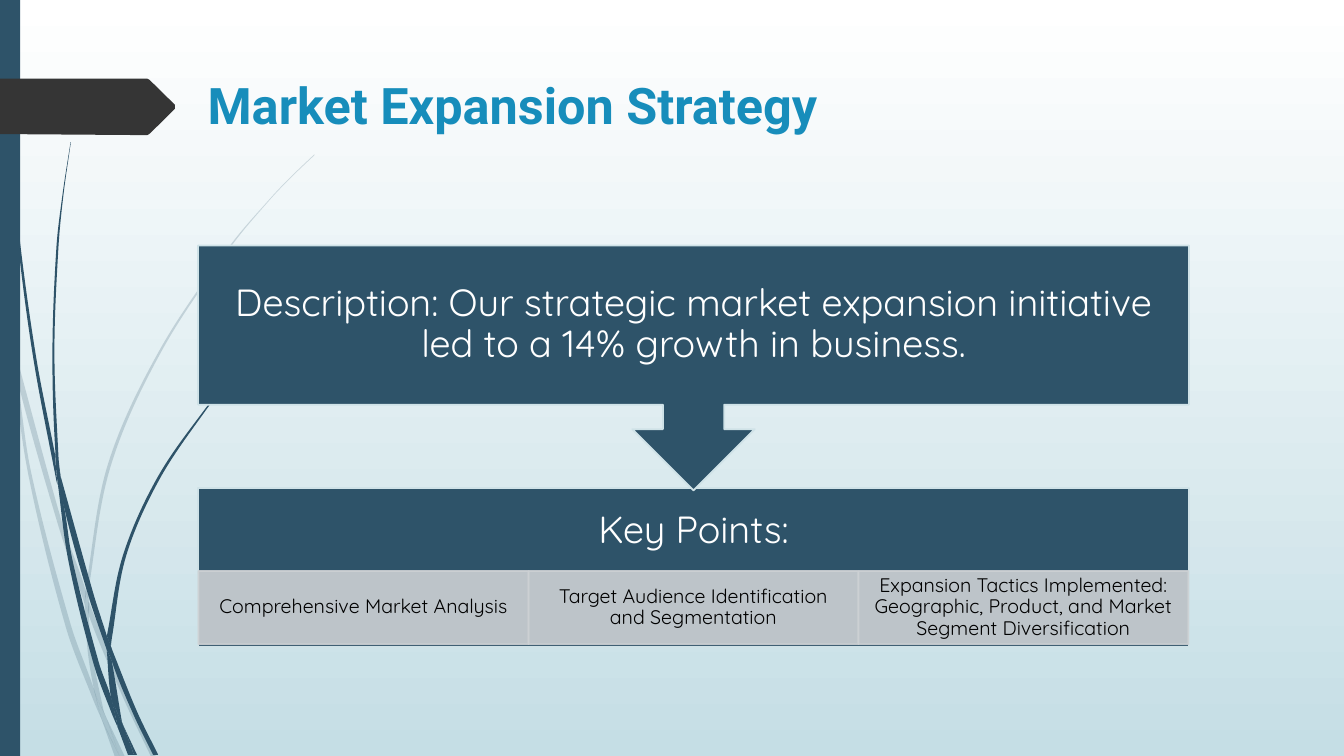
import dataclasses
import itertools
import math
import typing

import lxml.etree
import pptx
import pptx.dml.color
import pptx.enum.shapes
import pptx.enum.text
import pptx.oxml.ns
import pptx.util

COLUMNS, ROWS = 133.33, 75
CELL = pptx.util.Inches(7.5) / ROWS
NAVY, PALE, GREY = "2E5369", "CFE2E7", "CDD1D4"
SHAPES = pptx.enum.shapes.MSO_SHAPE
ANCHOR = pptx.enum.text.MSO_ANCHOR
ALIGN = pptx.enum.text.PP_ALIGN
Point = tuple[float, float]


class Area(typing.NamedTuple):
    column: float
    row: float
    columns: float
    rows: float


@dataclasses.dataclass
class Block:
    area: Area
    fill: str
    kind: SHAPES = SHAPES.RECTANGLE
    line: str | None = None
    opacity: int = 100
    rotation: int = 0


@dataclasses.dataclass
class Label:
    area: Area
    text: str
    size: float
    color: str
    inset: tuple[float, float]


FAINT_STRANDS = [
    [(1.1, 35), (0.9, 32.2), (0, 28.2), (0, 29.9), (1, 34.4)],
    [(5.8, 52.2), (8.4, 59.9), (8.5, 58.6), (6.2, 52), (1.4, 34.5), (1.7, 37.6)],
    [(9.2, 60.7), (8.8, 59.6), (8.8, 61), (12.3, 69.4), (15, 75.1), (15.5, 75.1), (12.7, 69.2)],
    [(11.9, 75.1), (12.4, 75.1), (10.5, 71.1)],
    [(9.3, 68.3), (7, 61.9), (3.1, 46.9), (1.7, 37.6), (1.1, 35), (2.8, 47), (6.5, 62.1),
     (9.2, 69.3), (10.1, 71.4), (9.9, 70.7)],
    [(8.4, 59.9), (8.7, 64.6), (9.3, 68.3), (9.6, 69.2), (10.5, 71.1), (10.3, 70.6),
     (9.1, 64.6), (8.8, 61), (8.8, 60.8)],
    [(8.8, 58.4), (11, 46.2), (16, 34.9), (22.9, 24.5), (26.8, 19.8), (29, 17.5), (31.2, 15.4),
     (31.2, 15.3), (28.9, 17.5), (26.8, 19.7), (22.8, 24.4), (15.8, 34.8), (10.7, 46.1),
     (8.5, 58.4), (8.5, 58.6), (8.8, 59.6)],
    [(10.1, 71.4), (11.4, 75.1), (11.9, 75.1)],
    [(8.8, 60.8), (8.8, 61), (8.8, 59.6), (8.5, 58.6), (8.4, 59.9)],
    [(9.6, 69.2), (9.3, 68.3), (9.9, 70.7), (10.1, 71.4), (11.9, 75.1), (10.5, 71.1)],
]
SOLID_STRANDS = [
    [(0.7, 11), (1.7, 23.3), (3.3, 35.5), (5.6, 47.7), (5.7, 48.1), (5.5, 45.7), (5.5, 45.3),
     (3.6, 35.5), (1.9, 23.2), (0.8, 10.9), (0.5, 4.8), (0.4, 0), (0.3, 0), (0.4, 4.8)],
    [(8.8, 59.2), (10.6, 64.5), (10.6, 63.3), (10.6, 63.1), (9.3, 59), (6, 47.2), (6.4, 50.5)],
    [(11.3, 64.9), (11, 64.1), (11.1, 65.6), (13.2, 70.8), (15.2, 74.9), (15.7, 74.9),
     (13.6, 70.6)],
    [(11, 69.1), (9.8, 65.7), (7.2, 55.6), (6.4, 50.5), (5.7, 47.7), (6.8, 55.7), (9.3, 65.9),
     (11.1, 70.8), (11.7, 72.2), (11.6, 71.7)],
    [(6, 47.2), (5.8, 45.3), (5.4, 34.9), (5.8, 24.5), (6.3, 19.3), (7.03, 14.1), (7, 14.1),
     (6.2, 19.3), (5.6, 24.5), (5.2, 34.9), (5.5, 44.9)],
    [(13.3, 74.9), (13.6, 74.9), (12.2, 71.9)],
    [(5.7, 47.7), (6.4, 50.5), (6, 47.2), (5.5, 44.9), (5.5, 45.3)],
    [(11.1, 63.3), (12.5, 55.2), (15.8, 47.6), (20.5, 40.6), (23.1, 37.4), (24.5, 35.9),
     (26.1, 34.4), (26, 34.4), (24.5, 35.8), (23.1, 37.3), (20.4, 40.5), (15.6, 47.4),
     (12.2, 55.1), (10.6, 63.1), (11, 64.1)],
    [(11.7, 72.2), (12.7, 74.9), (13.1, 74.9)],
    [(10.6, 64.5), (11, 69.1), (11.6, 70.6), (12.2, 71.9), (12.1, 71.6), (11.1, 65.6),
     (10.9, 65.1)],
    [(10.6, 64.5), (10.9, 65.1), (11.1, 65.6), (11, 64.1), (10.6, 63.1), (10.6, 63.3)],
    [(11.6, 70.6), (11, 69.1), (11.6, 71.7), (11.7, 72.2), (13, 74.9), (13.3, 74.9),
     (12.2, 71.9)],
]
FLAG = [(17.35, 10.8), (14.8, 13.3), (14.6, 13.4), (13.6, 13.4), (0, 13.3), (0, 7.8),
        (13.6, 7.8), (14.6, 7.8), (14.8, 7.9), (17.35, 10.4)]

PANEL = Area(19.65, 48.4, 98.3, 15.8)
CALLOUT = Area(19.65, 24.35, 98.3, 24.3)
POINT_COLUMNS = 32.73
POINTS = [
    "Comprehensive Market Analysis",
    "Target Audience Identification and Segmentation",
    "Expansion Tactics Implemented: Geographic, Product, and Market Segment Diversification",
]
POINT_AREAS = [
    Area(19.7 + index * POINT_COLUMNS, 56.65, POINT_COLUMNS, 7.26) for index in range(len(POINTS))
]
SIDE_BAR = Block(Area(0, 0, 2, ROWS), NAVY)
BLOCKS = [
    Block(PANEL, NAVY, line=PALE),
    *[Block(area, GREY, line=GREY, opacity=90) for area in POINT_AREAS],
    Block(CALLOUT, NAVY, SHAPES.UP_ARROW_CALLOUT, line=PALE, rotation=180),
]
LABELS = [
    Label(PANEL._replace(rows=8.5), "Key Points:", 27, "FFFFFF", (2.1, 2.1)),
    *[Label(area, text, 14, "000000", (1.1, 0.2)) for area, text in zip(POINT_AREAS, POINTS)],
    Label(CALLOUT._replace(rows=15.8),
          "Description: Our strategic market expansion initiative led to a 14% growth in business.",
          27, "FFFFFF", (2.1, 2.1)),
]


def cells(count: float) -> int:
    return round(count * CELL)


def rgb(color: str) -> pptx.dml.color.RGBColor:
    return pptx.dml.color.RGBColor.from_string(color)


def paint(shape, fill: str, line: str | None, opacity: int) -> None:
    shape.shadow.inherit = False
    shape.fill.solid()
    shape.fill.fore_color.rgb = rgb(fill)
    if line:
        shape.line.color.rgb = rgb(line)
        shape.line.width = pptx.util.Pt(1.25)
    else:
        shape.line.fill.background()
    if opacity < 100:
        for color in shape._element.spPr.iter(pptx.oxml.ns.qn("a:srgbClr")):
            alpha = lxml.etree.SubElement(color, pptx.oxml.ns.qn("a:alpha"))
            alpha.set("val", str(opacity * 1000))


def direction(start: Point, end: Point) -> Point:
    length = math.dist(start, end)
    return (end[0] - start[0]) / length, (end[1] - start[1]) / length


def handle(before: Point, corner: Point, after: Point, target: Point) -> Point:
    arriving, leaving = direction(before, corner), direction(corner, after)
    is_smooth = arriving[0] * leaving[0] + arriving[1] * leaving[1] > 0.9
    across, down = direction(before, after) if is_smooth else direction(corner, target)
    reach = math.dist(corner, target) / 3
    if is_smooth and target == before:
        reach = -reach
    return corner[0] + across * reach, corner[1] + down * reach


def draw_outline(slide, corners: list[Point], fill: str, opacity: int = 100) -> None:
    curve = []
    for index, start in enumerate(corners):
        before = corners[index - 1]
        end, after = (corners[(index + step) % len(corners)] for step in (1, 2))
        curve += [handle(before, start, end, end), handle(start, end, after, start), end]
    builder = slide.shapes.build_freeform(*map(cells, corners[0]))
    builder.add_line_segments([tuple(map(cells, point)) for point in curve], close=True)
    shape = builder.convert_to_shape()
    lines = iter(list(shape._element.spPr.iter(pptx.oxml.ns.qn("a:lnTo"))))
    while segment := list(itertools.islice(lines, 3)):
        bezier = lxml.etree.Element(pptx.oxml.ns.qn("a:cubicBezTo"))
        segment[0].addprevious(bezier)
        for line in segment:
            bezier.append(line[0])
            line.getparent().remove(line)
    paint(shape, fill, None, opacity)


def draw_block(slide, block: Block) -> None:
    shape = slide.shapes.add_shape(block.kind, *map(cells, block.area))
    shape.rotation = block.rotation
    paint(shape, block.fill, block.line, block.opacity)


def draw_label(slide, label: Label) -> None:
    frame = slide.shapes.add_textbox(*map(cells, label.area)).text_frame
    frame.word_wrap = True
    frame.vertical_anchor = ANCHOR.MIDDLE
    frame.margin_left = frame.margin_right = cells(label.inset[0])
    frame.margin_top = frame.margin_bottom = cells(label.inset[1])
    paragraph = frame.paragraphs[0]
    paragraph.text = label.text
    paragraph.alignment = ALIGN.CENTER
    paragraph.line_spacing = 0.9
    paragraph.font.name = "Quicksand"
    paragraph.font.size = pptx.util.Pt(label.size)
    paragraph.font.color.rgb = rgb(label.color)


def set_background(slide) -> None:
    fill = slide.background.fill
    fill.gradient()
    fill.gradient_angle = 270
    for stop, position, color in zip(fill.gradient_stops, (0, 1), ("FFFFFF", "C5DEE5")):
        stop.position = position
        stop.color.rgb = rgb(color)


def set_title(slide) -> None:
    title = slide.shapes.title
    slide.shapes._spTree.append(title._element)
    title.left, title.top, title.width, title.height = map(cells, Area(19.6, 6.87, 106.2, 14))
    title.text_frame.vertical_anchor = ANCHOR.TOP
    paragraph = title.text_frame.paragraphs[0]
    paragraph.text = "Market Expansion Strategy"
    paragraph.alignment = ALIGN.LEFT
    paragraph.font.name = "Roboto"
    paragraph.font.size = pptx.util.Pt(36)
    paragraph.font.bold = True
    paragraph.font.color.rgb = rgb("178DBB")


def main() -> None:
    presentation = pptx.Presentation()
    presentation.slide_width, presentation.slide_height = cells(COLUMNS), cells(ROWS)
    slide = presentation.slides.add_slide(presentation.slide_layouts.get_by_name("Title Only"))
    set_background(slide)
    for strands, opacity in ((FAINT_STRANDS, 20), (SOLID_STRANDS, 100)):
        for strand in strands:
            draw_outline(slide, strand, NAVY, opacity)
    draw_block(slide, SIDE_BAR)
    draw_outline(slide, FLAG, "353535")
    set_title(slide)
    for block in BLOCKS:
        draw_block(slide, block)
    for label in LABELS:
        draw_label(slide, label)
    presentation.save("out.pptx")


if __name__ == "__main__":
    main()
